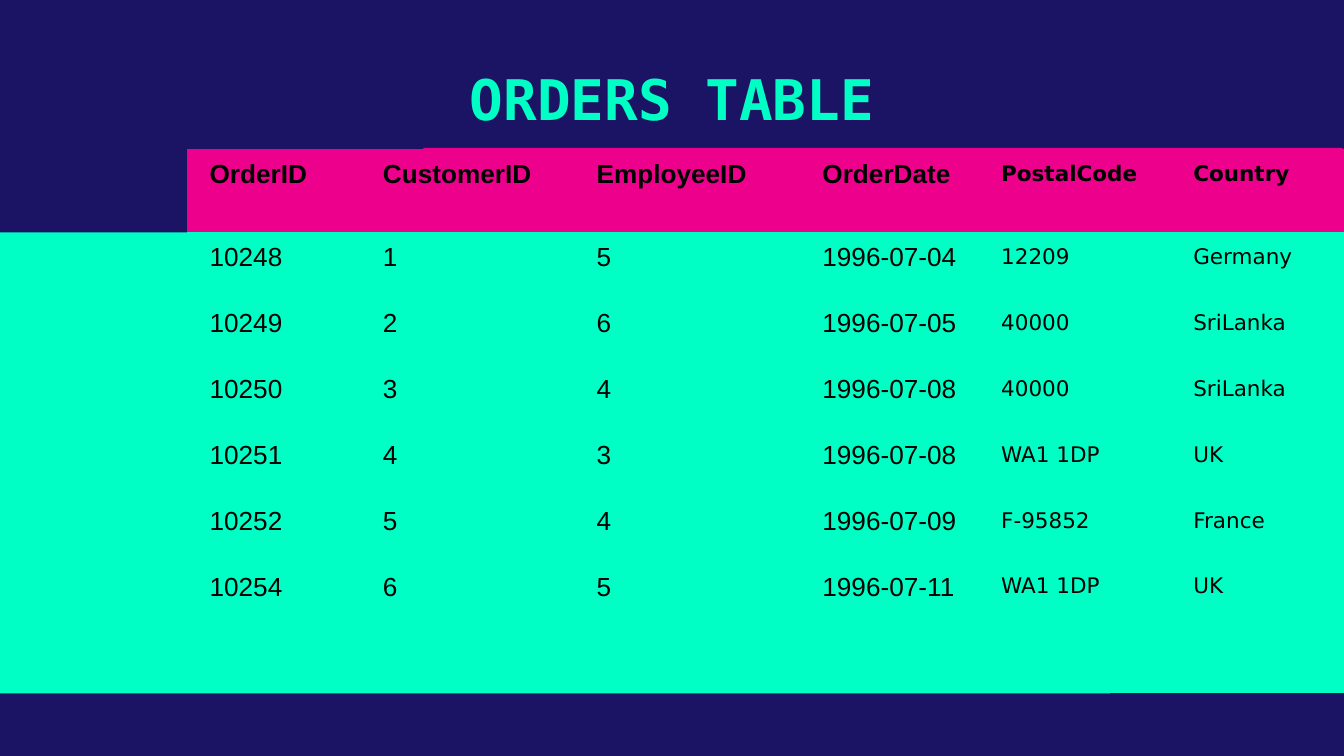
from dataclasses import dataclass

from pptx import Presentation, util as u
from pptx.dml.color import RGBColor
from pptx.enum import shapes, text
from pptx.oxml import ns

TITLE = "ORDERS TABLE"
HEADER = ("OrderID", "CustomerID", "EmployeeID", "OrderDate", "PostalCode", "Country")
ORDERS = [
    ("10248", "1", "5", "1996-07-04", "12209", "Germany"),
    ("10249", "2", "6", "1996-07-05", "40000", "SriLanka"),
    ("10250", "3", "4", "1996-07-08", "40000", "SriLanka"),
    ("10251", "4", "3", "1996-07-08", "WA1 1DP", "UK"),
    ("10252", "5", "4", "1996-07-09", "F-95852", "France"),
    ("10254", "6", "5", "1996-07-11", "WA1 1DP", "UK"),
]
ADDRESS_COLUMNS = ("PostalCode", "Country")


@dataclass(frozen=True)
class Theme:
    navy: RGBColor = RGBColor.from_string("1B1464")
    mint: RGBColor = RGBColor.from_string("00FFC5")
    pink: RGBColor = RGBColor.from_string("EC008C")
    ink: RGBColor = RGBColor.from_string("000000")
    title: tuple = ("DejaVu Sans Mono", 30)
    order: tuple = ("Arial", 14)
    address: tuple = ("DejaVu Sans", 11.5)


THEME = Theme()
WIDTH = 10
HEIGHT = WIDTH * 9 / 16
COLUMNS = (0.98, 1.38, 1.59, 1.68, 1.33, 1.43, 1.2)
ROWS = (0.62,) + (0.49,) * (len(ORDERS) + 1)
LEFT, TOP = 0.41, 1.11
BODY_TOP, BODY_HEIGHT = TOP + ROWS[0], sum(ROWS[1:])
TITLE_INSET, INSET, FIRST_INSET = 0.1, 0.08, 0.17
NO_GRID_STYLE = "{2D5ABB26-0587-4C30-8999-92F81FD0307C}"


def inches(*lengths):
    return [u.Inches(length) for length in lengths]


def set_insets(holder, inset):
    holder.margin_left = holder.margin_right = u.Inches(inset)
    holder.margin_top = holder.margin_bottom = u.Inches(inset)


def set_font(para, face, color, bold):
    name, size = face
    para.font.name, para.font.size = name, u.Pt(size)
    para.font.color.rgb, para.font.bold = color, bold


def add_band(page, color, *place):
    band = page.shapes.add_shape(shapes.MSO_SHAPE.RECTANGLE, *inches(*place))
    band.shadow.inherit = False
    band.fill.solid()
    band.fill.fore_color.rgb = color
    band.line.fill.background()


def add_title(page):
    box = page.shapes.add_textbox(*inches(0.14 * WIDTH, 0.38, 0.72 * WIDTH, 0.73))
    frame = box.text_frame
    frame.word_wrap = True
    frame.vertical_anchor = text.MSO_ANCHOR.TOP
    set_insets(frame, TITLE_INSET)
    para = frame.paragraphs[0]
    para.text, para.alignment = TITLE, text.PP_ALIGN.CENTER
    set_font(para, THEME.title, THEME.mint, True)


def fill_cell(cell, value, column, is_header):
    cell.fill.solid()
    cell.fill.fore_color.rgb = THEME.pink if is_header else THEME.mint
    set_insets(cell, INSET)
    if column == HEADER[0]:
        cell.margin_left = u.Inches(FIRST_INSET)
    if not value:
        return
    para = cell.text_frame.paragraphs[0]
    para.text = value
    in_address = column in ADDRESS_COLUMNS
    if in_address:
        para.line_spacing = 1.07
    set_font(para, THEME.address if in_address else THEME.order, THEME.ink, is_header)


def add_orders(page):
    place = inches(LEFT, TOP, sum(COLUMNS), sum(ROWS))
    frame = page.shapes.add_table(len(ROWS), len(COLUMNS), *place)
    for style in frame.element.iter(ns.qn("a:tableStyleId")):
        style.text = NO_GRID_STYLE
    table = frame.table
    table.first_row = table.horz_banding = False
    for column, width in zip(table.columns, COLUMNS):
        column.width = u.Inches(width)
    blank = ("",) * len(HEADER)
    for r, values in enumerate([HEADER, *ORDERS, blank]):
        table.rows[r].height = u.Inches(ROWS[r])
        table.cell(r, 0).fill.background()
        for c, (column, value) in enumerate(zip(HEADER, values), 1):
            fill_cell(table.cell(r, c), value, column, r == 0)


def main():
    deck = Presentation()
    deck.slide_width, deck.slide_height = inches(WIDTH, HEIGHT)
    page = deck.slides.add_slide(deck.slide_layouts[6])
    page.background.fill.solid()
    page.background.fill.fore_color.rgb = THEME.navy
    add_band(page, THEME.mint, 0, BODY_TOP, 8.26, BODY_HEIGHT)
    add_band(page, THEME.pink, 3.15, 1.1, 6.84, ROWS[0])
    add_title(page)
    add_orders(page)
    deck.save("out.pptx")


if __name__ == "__main__":
    main()
